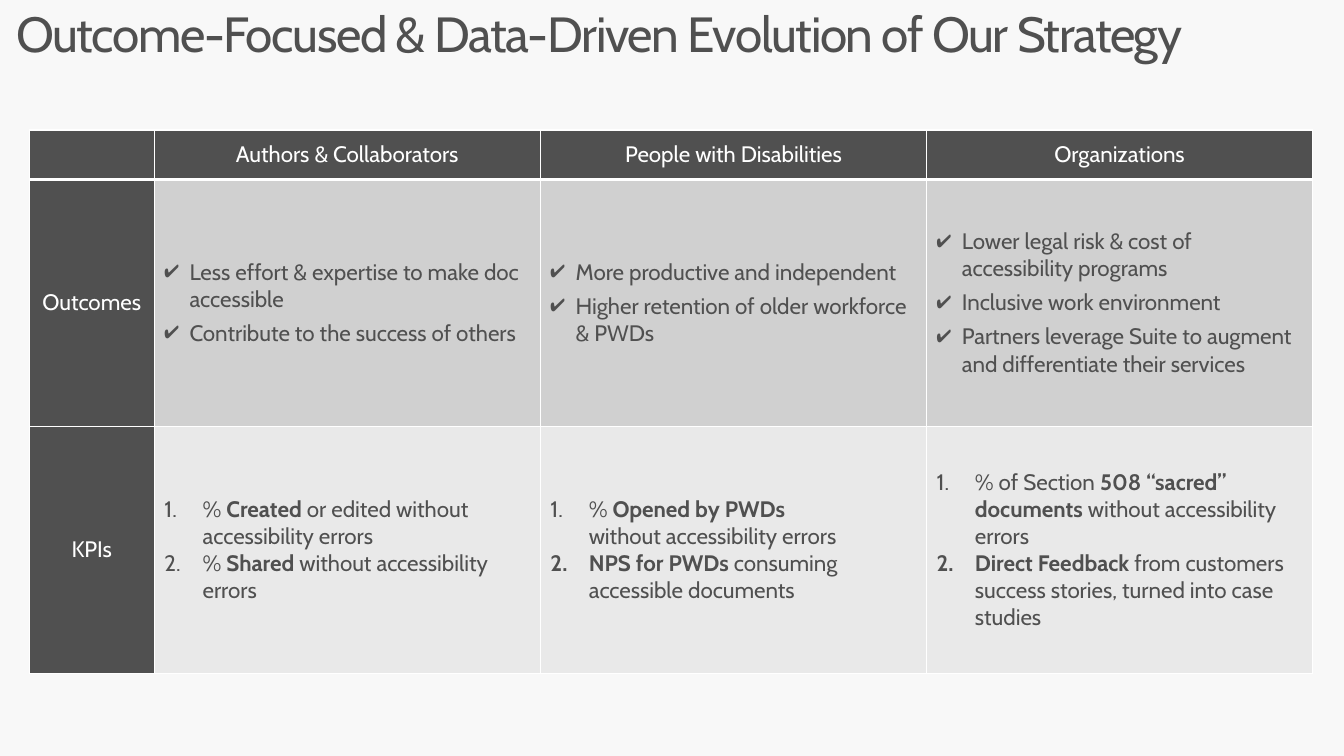
"""Build the strategy slide: a title above a table of outcomes and KPIs per audience."""
from dataclasses import dataclass

from lxml import etree
from pptx import Presentation
from pptx.dml.color import RGBColor
from pptx.enum.text import MSO_ANCHOR, PP_ALIGN
from pptx.oxml.ns import qn
from pptx.util import Inches, Pt

CENTER = PP_ALIGN.CENTER
MIDDLE = MSO_ANCHOR.MIDDLE
TOP = MSO_ANCHOR.TOP

TITLE = "Outcome-Focused & Data-Driven Evolution of Our Strategy"
AUDIENCES = ["Authors & Collaborators", "People with Disabilities", "Organizations"]
OUTCOMES = [
    ["Less effort & expertise to make doc accessible",
     "Contribute to the success of others"],
    ["More productive and independent",
     "Higher retention of older workforce & PWDs"],
    ["Lower legal risk & cost of accessibility programs",
     "Inclusive work environment",
     "Partners leverage Suite to augment and differentiate their services"],
]
# Asterisks enclose bold words.
KPIS = [
    ["% *Created* or edited without accessibility errors",
     "% *Shared* without accessibility errors"],
    ["% *Opened by PWDs*\nwithout accessibility errors",
     "*NPS for PWDs *consuming accessible documents"],
    ["% of Section *508 “sacred” documents* without accessibility errors",
     "*Direct Feedback *from customers success stories, turned into case studies"],
]
COLUMN_WIDTHS = [1.24, 3.83, 3.83, 3.83]
ROW_HEIGHTS = [0.49, 2.45, 2.45]


@dataclass(frozen=True)
class Theme:
    font: str = "Cabin"
    background: str = "F8F8F8"
    dark: str = "505050"
    light: str = "FFFFFF"
    outcome_fill: str = "D0D0D0"
    kpi_fill: str = "E9E9E9"
    title_size: float = 35.3
    body_size: float = 16
    rule: float = 1
    header_rule: float = 3


@dataclass(frozen=True)
class ListStyle:
    tag: str
    attribute: str
    value: str
    indent: float
    space_after: float


THEME = Theme()
CHECKS = ListStyle("a:buChar", "char", "✔", 0.25, 5)
NUMBERS = ListStyle("a:buAutoNum", "type", "arabicPeriod", 0.38, 0)


def set_font(paragraph, size, color):
    paragraph.font.name = THEME.font
    paragraph.font.size = Pt(size)
    paragraph.font.color.rgb = RGBColor.from_string(color)


def add_words(paragraph, text):
    for part, words in enumerate(text.split("*")):
        for line, piece in enumerate(words.split("\n")):
            if line:
                paragraph.add_line_break()
            if piece:
                run = paragraph.add_run()
                run.text = piece
                run.font.bold = part % 2 == 1


def style_cell(cell, fill, bottom_rule):
    properties = cell._tc.get_or_add_tcPr()
    rules = {"L": THEME.rule, "R": THEME.rule, "T": THEME.rule, "B": bottom_rule}
    for side, width in rules.items():
        line = etree.SubElement(properties, qn(f"a:ln{side}"), w=str(Pt(width)))
        solid = etree.SubElement(line, qn("a:solidFill"))
        etree.SubElement(solid, qn("a:srgbClr"), val=THEME.light)
    cell.fill.solid()
    cell.fill.fore_color.rgb = RGBColor.from_string(fill)
    cell.vertical_anchor = MIDDLE


def fill_label(cell, text, bottom_rule=THEME.rule):
    style_cell(cell, THEME.dark, bottom_rule)
    paragraph = cell.text_frame.paragraphs[0]
    paragraph.alignment = CENTER
    set_font(paragraph, THEME.body_size, THEME.light)
    add_words(paragraph, text)


def fill_list(cell, items, fill, style):
    style_cell(cell, fill, THEME.rule)
    frame = cell.text_frame
    for number, item in enumerate(items):
        paragraph = frame.add_paragraph() if number else frame.paragraphs[0]
        properties = paragraph._p.get_or_add_pPr()
        properties.set("marL", str(Inches(style.indent)))
        properties.set("indent", str(-Inches(style.indent)))
        etree.SubElement(properties, qn(style.tag), {style.attribute: style.value})
        paragraph.space_after = Pt(style.space_after)
        set_font(paragraph, THEME.body_size, THEME.dark)
        add_words(paragraph, item)


def add_title(slide):
    box = slide.shapes.add_textbox(0, 0, Inches(13.33), Inches(0.98))
    frame = box.text_frame
    frame.word_wrap = True
    frame.vertical_anchor = TOP
    frame.margin_left = frame.margin_right = Inches(0.16)
    frame.margin_top = frame.margin_bottom = Inches(0.1)
    paragraph = frame.paragraphs[0]
    paragraph.line_spacing = 0.9
    set_font(paragraph, THEME.title_size, THEME.dark)
    run = paragraph.add_run()
    run.text = TITLE
    run._r.get_or_add_rPr().set("spc", "-100")


def add_strategy_table(slide):
    table = slide.shapes.add_table(
        len(ROW_HEIGHTS), len(COLUMN_WIDTHS), Inches(0.29), Inches(1.29),
        Inches(sum(COLUMN_WIDTHS)), Inches(sum(ROW_HEIGHTS))).table
    table.first_row = table.horz_banding = False
    for column, width in zip(table.columns, COLUMN_WIDTHS):
        column.width = Inches(width)
    for row, height in zip(table.rows, ROW_HEIGHTS):
        row.height = Inches(height)

    for column, audience in enumerate(["", *AUDIENCES]):
        fill_label(table.cell(0, column), audience, THEME.header_rule)
    body = [("Outcomes", OUTCOMES, THEME.outcome_fill, CHECKS),
            ("KPIs", KPIS, THEME.kpi_fill, NUMBERS)]
    for row, (label, lists, fill, style) in enumerate(body, 1):
        fill_label(table.cell(row, 0), label)
        for column, items in enumerate(lists, 1):
            fill_list(table.cell(row, column), items, fill, style)


def main():
    presentation = Presentation()
    presentation.slide_width = Inches(13.33)
    presentation.slide_height = Inches(7.5)
    slide = presentation.slides.add_slide(presentation.slide_layouts[6])
    slide.background.fill.solid()
    slide.background.fill.fore_color.rgb = RGBColor.from_string(THEME.background)
    add_title(slide)
    add_strategy_table(slide)
    presentation.save("out.pptx")


if __name__ == "__main__":
    main()
